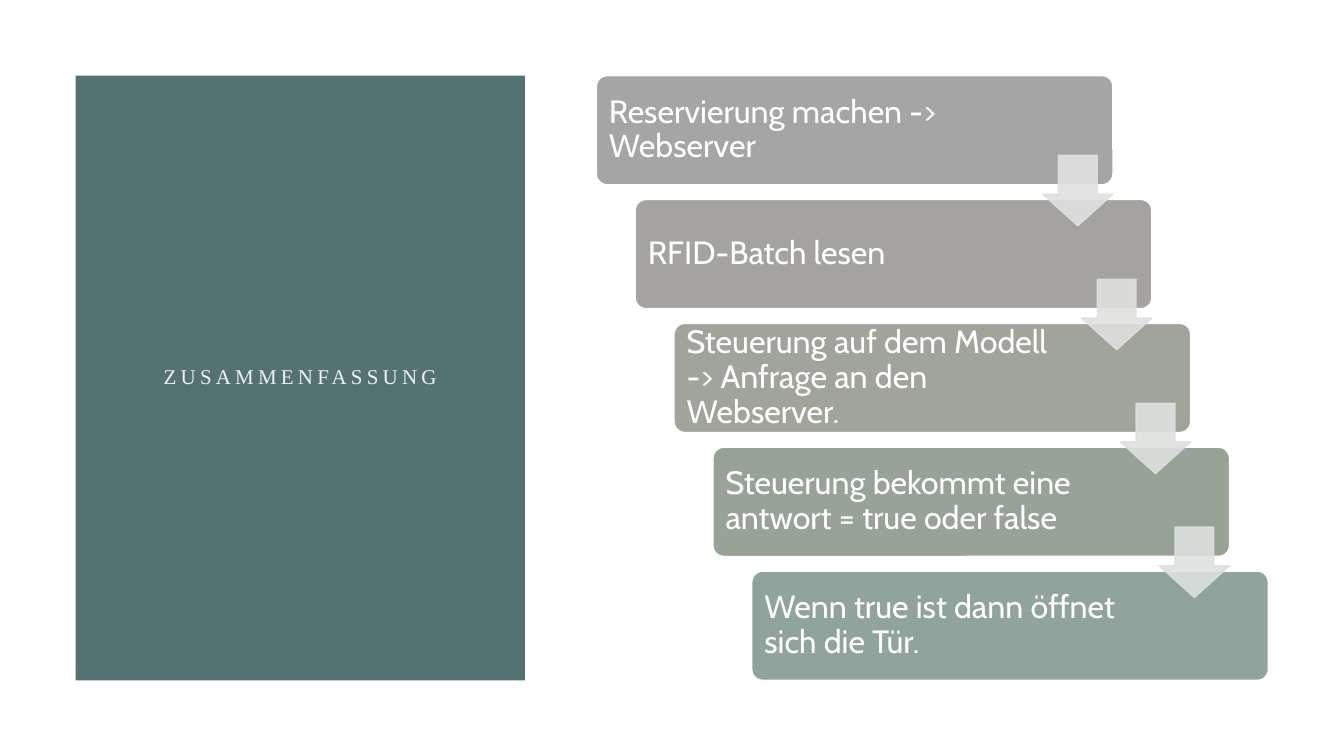
from dataclasses import dataclass

from lxml import etree
from pptx import Presentation
from pptx.dml.color import RGBColor
from pptx.enum.shapes import MSO_SHAPE
from pptx.enum.text import MSO_ANCHOR, MSO_AUTO_SIZE, PP_ALIGN
from pptx.oxml.ns import qn
from pptx.util import Pt

RECTANGLE = MSO_SHAPE.RECTANGLE
ROUNDED = MSO_SHAPE.ROUNDED_RECTANGLE
DOWN_ARROW = MSO_SHAPE.DOWN_ARROW
MIDDLE = MSO_ANCHOR.MIDDLE
NO_AUTOFIT = MSO_AUTO_SIZE.NONE
LEFT, CENTER = PP_ALIGN.LEFT, PP_ALIGN.CENTER

EMU_PER_PX = 9525
TITLE_ONLY = 5


@dataclass(frozen=True)
class Theme:
    panel: str = "557272"
    title: str = "EEF2F0"
    white: str = "FFFFFF"
    steps: tuple = ("A5A5A5", "A4A3A0", "A1A49B", "96A396", "91A39D")
    arrows: tuple = ("E1E1E1", "E0E0DF", "DDE0DD", "DCE0DE")
    arrow_alpha: int = 90
    title_font: str = "Times New Roman"
    step_font: str = "Cabin"
    title_size: int = 15
    step_size: int = 23
    title_tracking: int = 3


THEME = Theme()

STEPS = (
    "Reservierung machen -> Webserver",
    "RFID-Batch lesen",
    "Steuerung auf dem Modell -> Anfrage an den Webserver.",
    "Steuerung bekommt eine antwort = true oder false",
    "Wenn true ist dann öffnet sich die Tür.",
)


def px(length):
    return length * EMU_PER_PX


def add_block(slide, preset, box, fill, outline=None):
    block = slide.shapes.add_shape(preset, *map(px, box))
    block.shadow.inherit = False
    block.fill.solid()
    block.fill.fore_color.rgb = RGBColor.from_string(fill)
    if outline:
        block.line.color.rgb = RGBColor.from_string(outline)
        block.line.width = Pt(1)
    else:
        block.line.fill.background()
    return block


def write(frame, text, font, size, color, align):
    frame.text = text
    frame.word_wrap = True
    frame.auto_size = NO_AUTOFIT
    frame.vertical_anchor = MIDDLE
    paragraph = frame.paragraphs[0]
    paragraph.alignment = align
    paragraph.line_spacing = 0.9
    paragraph.font.name = font
    paragraph.font.size = Pt(size)
    paragraph.font.color.rgb = RGBColor.from_string(color)


def add_title_panel(slide, box):
    left, top, width, height = box
    margin = 72
    panel = add_block(slide, RECTANGLE, box, THEME.panel)
    title = slide.shapes.title
    title.element.addprevious(panel.element)
    title.left, title.top = px(left + margin), px(top + margin)
    title.width, title.height = px(width - 2 * margin), px(height - 2 * margin)
    write(title.text_frame, "ZUSAMMENFASSUNG", THEME.title_font,
          THEME.title_size, THEME.title, CENTER)
    for run in title.element.iter(qn("a:r")):
        run.get_or_add_rPr().set("spc", str(THEME.title_tracking * 100))


def add_step(slide, box, text, fill):
    step = add_block(slide, ROUNDED, box, fill, THEME.white)
    step.adjustments[0] = 0.1
    frame = step.text_frame
    frame.margin_left = px(9)
    frame.margin_top = frame.margin_bottom = px(10)
    frame.margin_right = px(114)
    write(frame, text, THEME.step_font, THEME.step_size, THEME.white, LEFT)


def add_arrow(slide, box, color):
    arrow = add_block(slide, DOWN_ARROW, box, color, color)
    arrow.adjustments[0] = 0.55
    arrow.adjustments[1] = 0.45
    for tint in arrow.element.spPr.iter(qn("a:srgbClr")):
        etree.SubElement(tint, qn("a:alpha"), val=str(THEME.arrow_alpha * 1000))


def add_staircase(slide, box):
    left, top, width, height = box
    step_width, step_height, arrow_size, arrow_drop = 492, 104, 67, 76
    last = len(STEPS) - 1
    shift = (width - step_width) // last
    pitch = (height - step_height) // last
    corners = [(left + i * shift, top + i * pitch) for i in range(len(STEPS))]
    for (x, y), text, fill in zip(corners, STEPS, THEME.steps):
        add_step(slide, (x, y, step_width, step_height), text, fill)
    for (x, y), color in zip(corners, THEME.arrows):
        add_arrow(slide, (x + step_width - arrow_size, y + arrow_drop,
                          arrow_size, arrow_size), color)


def main():
    deck = Presentation()
    deck.slide_width, deck.slide_height = px(1280), px(720)
    slide = deck.slides.add_slide(deck.slide_layouts[TITLE_ONLY])
    add_title_panel(slide, (72, 72, 428, 576))
    add_staircase(slide, (568, 72, 640, 576))
    deck.save("out.pptx")


if __name__ == "__main__":
    main()
